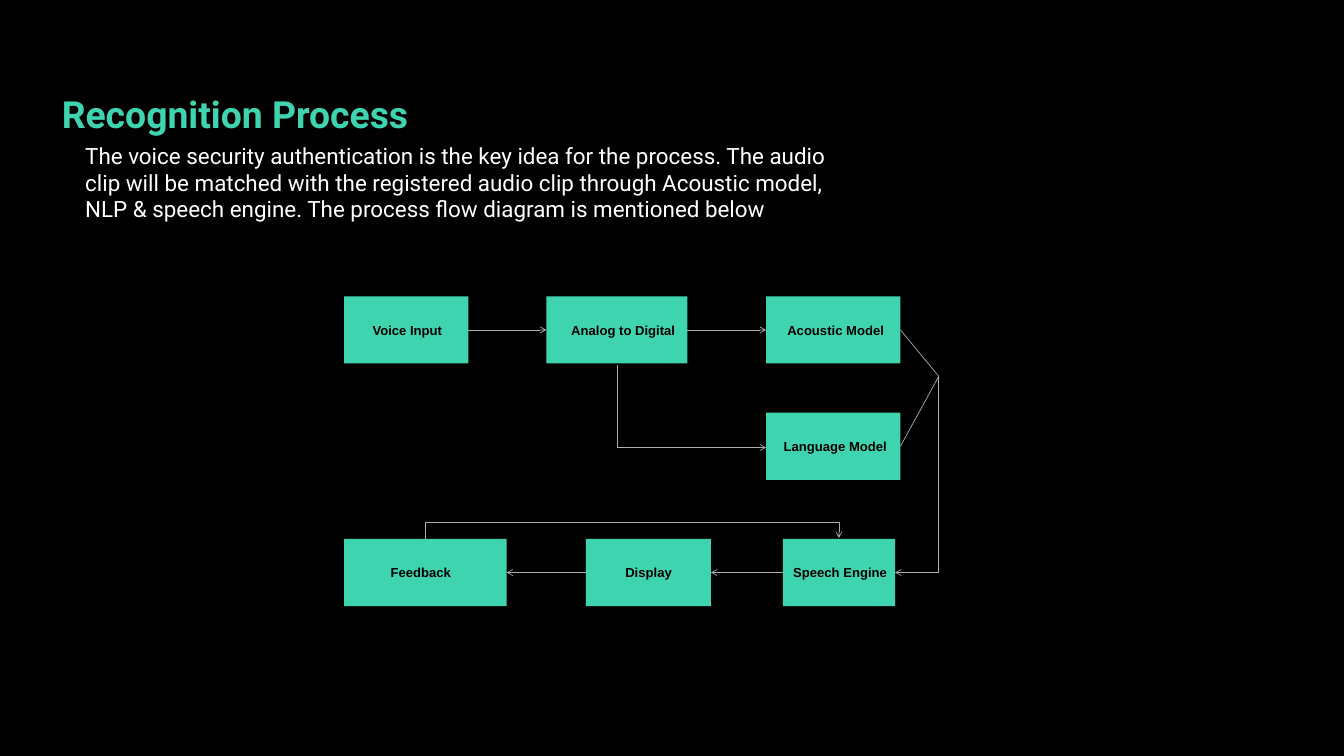
"""Build the voice recognition process flow slide."""
from dataclasses import dataclass

from lxml import etree
from pptx import Presentation
from pptx import util as u
from pptx.dml.color import RGBColor
from pptx.enum import shapes, text
from pptx.oxml import ns

GREEN, BLACK, WHITE, GREY = "3ED4AF", "000000", "FFFFFF", "AEAEAE"
TOP, LEFT, BOTTOM, RIGHT = range(4)
ROW_1, ROW_2, ROW_3 = 317.5, 442.1, 577.4
STEP_HEIGHT = 72
SPACE = 3.89


@dataclass
class Step:
    label: str
    left: float
    top: float
    width: float
    indent: int

    @property
    def right(self) -> float:
        return self.left + self.width

    @property
    def center(self) -> float:
        return self.left + self.width / 2

    @property
    def middle(self) -> float:
        return self.top + STEP_HEIGHT / 2


VOICE = Step("Voice Input", 368.6, ROW_1, 133.2, 6)
DIGITAL = Step("Analog to Digital", 585.4, ROW_1, 151.2, 5)
ACOUSTIC = Step("Acoustic Model", 820.8, ROW_1, 144, 4)
LANGUAGE = Step("Language Model", 820.8, ROW_2, 144, 3)
FEEDBACK = Step("Feedback", 368.6, ROW_3, 174.2, 11)
DISPLAY = Step("Display", 627.8, ROW_3, 133.9, 9)
ENGINE = Step("Speech Engine", 838.8, ROW_3, 120.2, 1)
STEPS = (VOICE, DIGITAL, ACOUSTIC, LANGUAGE, FEEDBACK, DISPLAY, ENGINE)
FLOWS = (
    (VOICE, RIGHT, DIGITAL, LEFT),
    (DIGITAL, RIGHT, ACOUSTIC, LEFT),
    (ENGINE, LEFT, DISPLAY, RIGHT),
    (DISPLAY, LEFT, FEEDBACK, RIGHT),
)
MERGE = (1005.8, 403.2)


def color(value: str) -> RGBColor:
    return RGBColor.from_string(value)


def apply(target, formats: dict) -> None:
    for key, value in formats.items():
        setattr(target, key, value)


def place(shape, left: float, top: float, width: float, height: float) -> None:
    apply(shape, {"left": u.Pt(left), "top": u.Pt(top),
                  "width": u.Pt(width), "height": u.Pt(height)})


def write(shape, content: str, font: str, size: float, hue: str, bold: bool,
          margins: tuple, anchor, spacing: float = 1.0) -> None:
    frame = shape.text_frame
    frame.text = content
    sides = ("margin_left", "margin_top", "margin_right", "margin_bottom")
    apply(frame, {"word_wrap": True, "auto_size": text.MSO_AUTO_SIZE.NONE,
                  "vertical_anchor": anchor,
                  **{side: u.Pt(gap) for side, gap in zip(sides, margins)}})
    paragraph = frame.paragraphs[0]
    apply(paragraph, {"alignment": text.PP_ALIGN.LEFT, "line_spacing": spacing})
    run_font = paragraph.runs[0].font
    apply(run_font, {"name": font, "size": u.Pt(size), "bold": bold})
    run_font.color.rgb = color(hue)


def draw_step(slide, step: Step):
    box = slide.shapes.add_shape(
        shapes.MSO_SHAPE.RECTANGLE, u.Pt(step.left), u.Pt(step.top),
        u.Pt(step.width), u.Pt(STEP_HEIGHT))
    box.shadow.inherit = False
    box.fill.solid()
    box.fill.fore_color.rgb = color(GREEN)
    box.line.fill.background()
    write(box, step.label, "Arial", 14, BLACK, True,
          (7.2 + step.indent * SPACE, 7.2, 7.2, 7.2), text.MSO_ANCHOR.MIDDLE)
    return box


def draw_line(slide, start: tuple, end: tuple, arrow: bool = True,
              kind=shapes.MSO_CONNECTOR.STRAIGHT):
    line = slide.shapes.add_connector(kind, *(u.Pt(v) for v in (*start, *end)))
    line.line.color.rgb = color(GREY)
    line.line.width = u.Pt(0.75)
    if arrow:
        etree.SubElement(line.line._get_or_add_ln(), ns.qn("a:tailEnd"), type="arrow")
    etree.SubElement(line._element.spPr, ns.qn("a:effectLst"))
    return line


def draw_elbow(slide, start: tuple, end: tuple, preset: str, adjust: int = 0) -> None:
    """Draw a bent arrow that leaves its start vertically."""
    line = draw_line(slide, start, end, kind=shapes.MSO_CONNECTOR.ELBOW)
    across, down = end[0] - start[0], end[1] - start[1]
    width, height = abs(down), abs(across)
    place(line, (start[0] + end[0] - width) / 2, (start[1] + end[1] - height) / 2,
          width, height)
    frame = line._element.spPr.find(ns.qn("a:xfrm"))
    flip = (across > 0) == (down > 0)
    apply(frame, {"rot": 90 if down > 0 else 270, "flipH": False, "flipV": flip})
    geometry = line._element.spPr.find(ns.qn("a:prstGeom"))
    geometry.set("prst", preset)
    if adjust:
        guides = geometry.find(ns.qn("a:avLst"))
        etree.SubElement(guides, ns.qn("a:gd"), name="adj1", fmla=f"val {adjust}")


def main() -> None:
    deck = Presentation()
    apply(deck, {"slide_width": u.Pt(1440), "slide_height": u.Pt(810)})
    slide = deck.slides.add_slide(deck.slide_layouts[5])
    slide.background.fill.solid()
    slide.background.fill.fore_color.rgb = color(BLACK)

    heading = slide.shapes.title
    place(heading, 66.2, 64.8, 1013, 81.4)
    write(heading, "Recognition Process", "Roboto", 40, GREEN, True,
          (0, 0, 0, 0), text.MSO_ANCHOR.TOP, 1.68)
    summary = slide.shapes.add_textbox(u.Pt(84.2), u.Pt(148.3), u.Pt(815.8), u.Pt(94.3))
    write(summary, "The voice security authentication is the key idea for the process. "
          "The audio clip will be matched with the registered audio clip through "
          "Acoustic model, NLP & speech engine. The process flow diagram is "
          "mentioned below", "Roboto", 24, WHITE, False,
          (7.2, 3.6, 7.2, 3.6), text.MSO_ANCHOR.TOP)

    boxes = {step.label: draw_step(slide, step) for step in STEPS}
    for source, exit_side, target, entry_side in FLOWS:
        flow = draw_line(slide, (source.center, source.middle),
                         (target.center, target.middle))
        flow.begin_connect(boxes[source.label], exit_side)
        flow.end_connect(boxes[target.label], entry_side)
    for model in (ACOUSTIC, LANGUAGE):
        branch = draw_line(slide, (model.right, model.middle), MERGE, arrow=False)
        branch.begin_connect(boxes[model.label], RIGHT)

    draw_elbow(slide, MERGE, (ENGINE.right, ENGINE.middle), "bentConnector2")
    draw_elbow(slide, (DIGITAL.center, DIGITAL.top + STEP_HEIGHT + 1.5),
               (LANGUAGE.left, LANGUAGE.middle + 1.4), "bentConnector2")
    draw_elbow(slide, (FEEDBACK.center, ROW_3), (ENGINE.center, ROW_3 - 1),
               "bentConnector3", 1800000)
    deck.save("out.pptx")


if __name__ == "__main__":
    main()
